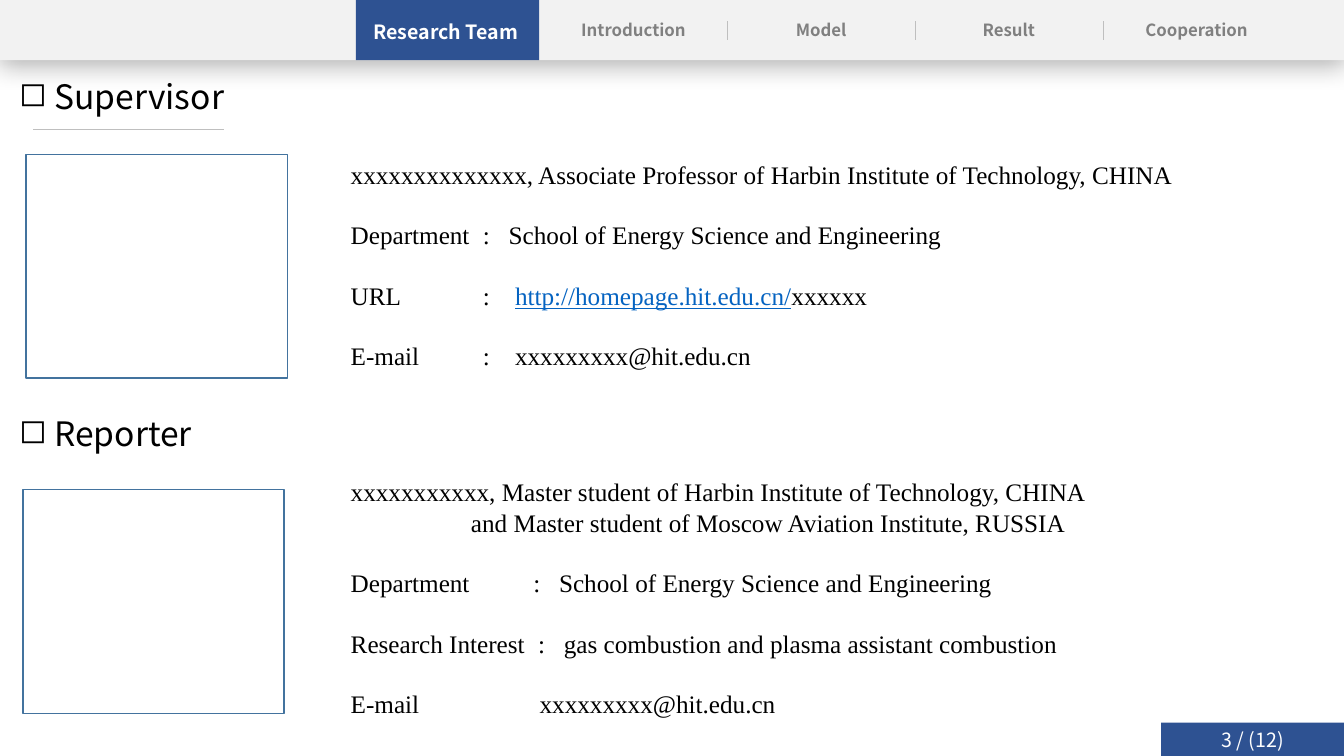
"""Build the research team slide with its navigation bar and two profiles."""
from lxml.etree import SubElement
from pptx import Presentation
from pptx.dml.color import RGBColor
from pptx.enum.shapes import MSO_CONNECTOR, MSO_SHAPE
from pptx.enum.text import MSO_ANCHOR, PP_ALIGN
from pptx.oxml.ns import qn
from pptx.util import Cm, Pt

HUES = {
    "navy": "2E5292", "bar": "F2F2F2", "rule": "BFBFBF", "grey": "808080",
    "white": "FFFFFF", "black": "000000", "link": "0563C1", "frame": "43739E",
}
SANS, SERIF = "Noto Sans CJK SC", "Times New Roman"

deck = Presentation()
deck.slide_width, deck.slide_height = Cm(33.87), Cm(19.05)
slide = deck.slides.add_slide(deck.slide_layouts[6])
shapes = slide.shapes


def add_box(left, top, width, height, fill, edge=None):
    box = shapes.add_shape(MSO_SHAPE.RECTANGLE, Cm(left), Cm(top), Cm(width), Cm(height))
    box.shadow.inherit = False
    box.fill.solid()
    box.fill.fore_color.rgb = RGBColor.from_string(HUES[fill])
    if edge:
        box.line.color.rgb = RGBColor.from_string(HUES[edge])
        box.line.width = Pt(1)
    else:
        box.line.fill.background()
    return box


def add_run(para, text, size, face, hue, bold=False):
    run = para.add_run()
    run.text = text
    run.font.size, run.font.name, run.font.bold = Pt(size), face, bold
    run.font.color.rgb = RGBColor.from_string(HUES[hue])
    return run


foot = add_box(29.26, 18.21, 4.61, 0.84, "navy")
foot.text_frame.vertical_anchor = MSO_ANCHOR.MIDDLE
para = foot.text_frame.paragraphs[0]
para.alignment = PP_ALIGN.CENTER
add_run(para, "3 / (12)", 14, SANS, "white")

bar = add_box(0, 0, 33.87, 1.52, "bar")
glow = SubElement(bar._element.spPr.find(qn("a:effectLst")), qn("a:outerShdw"),
                  blurRad=str(Pt(18)), dist=str(Pt(4)), dir="5400000",
                  algn="t", rotWithShape="0")
tint = SubElement(glow, qn("a:srgbClr"), val=HUES["black"])
SubElement(tint, qn("a:alpha"), val="29000")
add_box(8.97, 0, 4.62, 1.52, "navy")

STEP = 4.73
tabs = ["Research Team", "Introduction", "Model", "Result", "Cooperation"]
for i, name in enumerate(tabs):
    live = i == 0
    label = shapes.add_textbox(Cm(9.37 + i * STEP), Cm(0.41), Cm(3.73), Cm(0.81 if live else 0.71))
    frame = label.text_frame
    frame.word_wrap = True
    frame.margin_left = frame.margin_right = 0
    frame.margin_top = frame.margin_bottom = Cm(0.1)
    para = frame.paragraphs[0]
    para.alignment = PP_ALIGN.CENTER
    add_run(para, name, 14 if live else 12, SANS, "white" if live else "grey", True)

rules = [(18.34 + i * STEP, 0.53, 18.34 + i * STEP, 1.02) for i in range(3)]
rules.append((0.84, 3.25, 5.64, 3.25))
for ends in rules:
    rule = shapes.add_connector(MSO_CONNECTOR.STRAIGHT, *map(Cm, ends))
    rule.line.color.rgb = RGBColor.from_string(HUES["rule"])
    rule.line.width = Pt(0.5)
    SubElement(rule._element.spPr, qn("a:effectLst"))

for title, top in [("Supervisor", 1.91), ("Reporter", 10.39)]:
    head = shapes.add_textbox(Cm(0.23), Cm(top), Cm(7.62), Cm(1.52))
    head.text_frame.word_wrap = True
    para = head.text_frame.paragraphs[0]
    para.line_spacing, para.space_before = 0.9, Pt(10)
    props = para._p.get_or_add_pPr()
    props.set("marL", str(Cm(0.64)))
    props.set("indent", str(Cm(-0.64)))
    SubElement(props, qn("a:buChar"), char="◻")
    add_run(para, " " + title, 24, SANS, "black")

LINE = Pt(21.6)
SCHOOL = "School of Energy Science and Engineering"
bios = [
    (3.89, 21.44, 5.64, [
        ("xxxxxxxxxxxxxx, Associate Professor of Harbin Institute of Technology, CHINA", [], 0),
        (f"Department\t:\t{SCHOOL}", [3.33, 3.98], 0),
        ("URL\t:\t|http://homepage.hit.edu.cn/|xxxxxx", [3.33, 4.14], 0),
        ("E-mail\t:\txxxxxxxxx@hit.edu.cn", [3.33, 4.14], 0),
    ]),
    (11.89, 19.35, 6.4, [
        ("xxxxxxxxxxx, Master student of Harbin Institute of Technology, CHINA", [], 0),
        ("and Master student of Moscow Aviation Institute, RUSSIA", [], 3.03),
        (f"Department\t:\t{SCHOOL}", [4.6, 5.25], 0),
        ("Research Interest\t:\tgas combustion and plasma assistant combustion", [4.72, 5.37], 0),
        ("E-mail\txxxxxxxxx@hit.edu.cn", [4.76], 0),
    ]),
]
for top, width, height, rows in bios:
    bio = shapes.add_textbox(Cm(8.59), Cm(top), Cm(width), Cm(height))
    frame = bio.text_frame
    frame.word_wrap = True
    for i, (text, stops, inset) in enumerate(rows):
        para = frame.add_paragraph() if i else frame.paragraphs[0]
        para.line_spacing = LINE
        para.space_before = LINE if i and not inset else Pt(0)
        props = para._p.get_or_add_pPr()
        props.set("marL", str(Cm(inset)))
        if stops:
            ruler = SubElement(props, qn("a:tabLst"))
            for stop in stops:
                SubElement(ruler, qn("a:tab"), pos=str(Cm(stop)), algn="l")
        for part in text.split("|"):
            link = part.startswith("http")
            run = add_run(para, part, 18, SERIF, "link" if link else "black")
            run.font.underline = link

for left, top in [(0.66, 3.89), (0.58, 12.34)]:
    add_box(left, top, 6.58, 5.64, "white", "frame")

deck.save("out.pptx")
